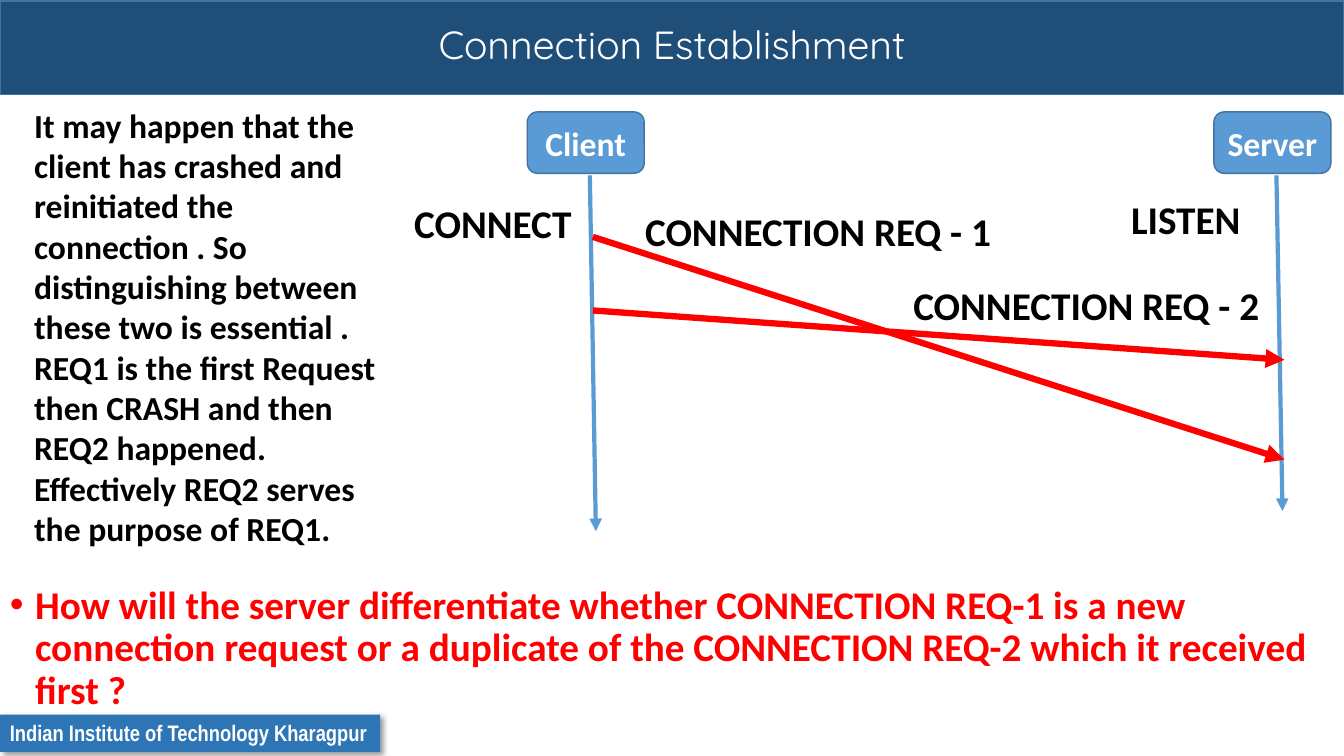
import pptx
import pptx.util
import pptx.dml.color
import pptx.enum.shapes
import pptx.enum.text
import pptx.oxml
import pptx.oxml.ns

Inches = pptx.util.Inches
Pt = pptx.util.Pt
RGBColor = pptx.dml.color.RGBColor
Shape = pptx.enum.shapes.MSO_SHAPE
Align = pptx.enum.text.PP_ALIGN
Anchor = pptx.enum.text.MSO_ANCHOR
AutoSize = pptx.enum.text.MSO_AUTO_SIZE

NAVY = RGBColor(0x1F, 0x4E, 0x79)
EDGE = RGBColor(0x43, 0x73, 0x9E)
BLUE = RGBColor(0x5B, 0x9B, 0xD5)
FOOTER_BLUE = RGBColor(0x2E, 0x75, 0xB6)
RED = RGBColor(0xFF, 0, 0)
BLACK = RGBColor(0, 0, 0)
WHITE = RGBColor(0xFF, 0xFF, 0xFF)

DRAWING = pptx.oxml.ns.nsdecls("a")
SHADOW = (
    f'<a:effectLst {DRAWING}><a:outerShdw blurRad="50800" dist="38100" dir="2700000" '
    'algn="tl" rotWithShape="0"><a:srgbClr val="000000"><a:alpha val="40000"/>'
    '</a:srgbClr></a:outerShdw></a:effectLst>'
)


def write(box, lines, size, color, name="Calibri", bold=True, wrap=True):
    frame = box.text_frame
    frame.word_wrap = wrap
    frame.text = "\n".join(lines)
    formats = {"size": Pt(size), "name": name, "bold": bold}
    for para in frame.paragraphs:
        for span in para.runs:
            for key, value in formats.items():
                setattr(span.font, key, value)
            span.font.color.rgb = color
    return frame


def add_block(kind, place, fill, edge=None):
    block = page.shapes.add_shape(kind, *map(Inches, place))
    block.shadow.inherit = False
    block.fill.solid()
    block.fill.fore_color.rgb = fill
    if edge is None:
        block.line.fill.background()
    else:
        block.line.color.rgb = edge
        block.line.width = Pt(1)
    return block


deck = pptx.Presentation()
deck.slide_width = Inches(13.33)
deck.slide_height = Inches(7.5)
page = deck.slides.add_slide(deck.slide_layouts[5])

title = page.shapes.title
band = add_block(Shape.RECTANGLE, (0, 0.01, 13.33, 0.93), NAVY, EDGE)
title._element.addprevious(band._element)
title_place = {"left": 0, "top": 0, "width": 13.33, "height": 0.93}
for key, value in title_place.items():
    setattr(title, key, Inches(value))
frame = write(title, ["Connection Establishment"], 28, WHITE, "Quicksand", False)
frame.vertical_anchor = Anchor.MIDDLE
frame.paragraphs[0].alignment = Align.CENTER
frame.paragraphs[0].line_spacing = 0.9

footer = add_block(Shape.RECTANGLE, (0, 7.09, 3.77, 0.37), FOOTER_BLUE)
footer._element.spPr.remove(footer._element.spPr.find(pptx.oxml.ns.qn("a:effectLst")))
footer._element.spPr.append(pptx.oxml.parse_xml(SHADOW))
frame = write(footer, ["Indian Institute of Technology Kharagpur"], 16, WHITE, "Arial Narrow", wrap=False)
frame.vertical_anchor = Anchor.TOP
frame.paragraphs[0].alignment = Align.LEFT

question = page.shapes.add_textbox(Inches(0), Inches(5.76), Inches(13.33), Inches(1.23))
frame = write(question, [
    "How will the server differentiate whether CONNECTION REQ-1 is a new connection request "
    "or a duplicate of the CONNECTION REQ-2 which it received first ?"
], 28, RED)
para = frame.paragraphs[0]
para.line_spacing = 0.9
properties = para._p.get_or_add_pPr()
properties.set("marL", str(Inches(0.25)))
properties.set("indent", str(-Inches(0.25)))
properties.append(pptx.oxml.parse_xml(f'<a:buFont {DRAWING} typeface="Arial"/>'))
properties.append(pptx.oxml.parse_xml(f'<a:buChar {DRAWING} char="•"/>'))

for label, left in (("Client", 5.23), ("Server", 12.04)):
    host = add_block(Shape.ROUNDED_RECTANGLE, (left, 1.11, 1.16, 0.61), BLUE, EDGE)
    frame = write(host, [label], 24, WHITE)
    frame.vertical_anchor = Anchor.MIDDLE
    frame.paragraphs[0].alignment = Align.CENTER

arrows = [
    (5.85, 1.74, 5.91, 5.27, BLUE, 3),
    (12.66, 1.74, 12.72, 5.07, BLUE, 3),
    (5.88, 2.35, 12.74, 4.56, RED, 4.5),
    (5.88, 3.08, 12.74, 3.57, RED, 4.5),
]
for *ends, color, width in arrows:
    arrow = page.shapes.add_connector(pptx.enum.shapes.MSO_CONNECTOR.STRAIGHT, *map(Inches, ends))
    arrow.line.color.rgb = color
    arrow.line.width = Pt(width)
    arrow.line._get_or_add_ln().append(pptx.oxml.parse_xml(f'<a:tailEnd {DRAWING} type="triangle"/>'))
    arrow._element.spPr.append(pptx.oxml.parse_xml(f'<a:effectLst {DRAWING}/>'))

labels = [
    ("LISTEN", 11.12, 1.89, 1.3),
    ("CONNECT", 4.01, 1.93, 1.78),
    ("CONNECTION REQ - 1", 6.3, 2.01, 3.68),
    ("CONNECTION REQ - 2", 8.96, 2.74, 3.68),
]
for label, left, top, width in labels:
    box = page.shapes.add_textbox(Inches(left), Inches(top), Inches(width), Inches(0.57))
    write(box, [label], 28, BLACK, wrap=False).auto_size = AutoSize.SHAPE_TO_FIT_TEXT

story = page.shapes.add_textbox(Inches(0.24), Inches(0.99), Inches(3.76), Inches(4.54))
write(story, [
    "It may happen that the client has crashed and reinitiated the connection . "
    "So distinguishing between these two is essential .",
    "REQ1 is the first Request",
    "then CRASH and then",
    "REQ2 happened. Effectively REQ2 serves the purpose of REQ1.",
], 24, BLACK).auto_size = AutoSize.SHAPE_TO_FIT_TEXT

deck.save("out.pptx")
